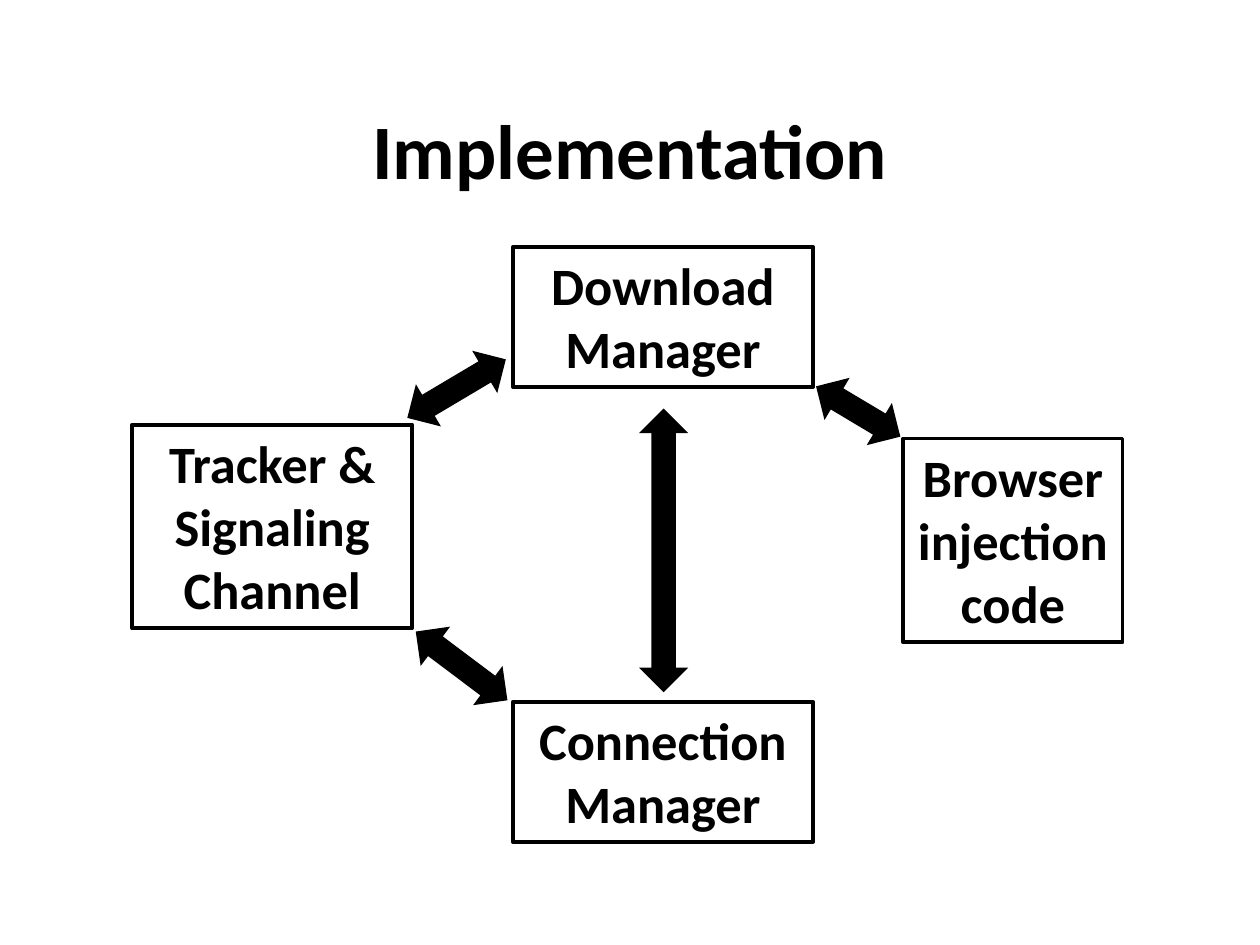
"""Build the Implementation slide: four components linked by double arrows."""
from pptx import Presentation
from pptx.dml.color import RGBColor
from pptx.enum.shapes import MSO_SHAPE as SHAPE
from pptx.enum.text import MSO_ANCHOR as ANCHOR, MSO_AUTO_SIZE as AUTO, PP_ALIGN as ALIGN
from pptx.util import Cm, Pt

BLACK = RGBColor(0, 0, 0)


def format_text(tf, size):
    for p in tf.paragraphs:
        p.alignment = ALIGN.CENTER
        for r in p.runs:
            r.font.name = "Calibri"
            r.font.size = Pt(size)
            r.font.bold = True
            r.font.color.rgb = BLACK


prs = Presentation()
prs.slide_width, prs.slide_height = Cm(25.4), Cm(19.05)
s = prs.slides.add_slide(prs.slide_layouts[5])

title = s.shapes.title
title.left, title.top, title.width, title.height = Cm(1.27), Cm(1.4), Cm(22.86), Cm(3.18)
title.text_frame.text = "Implementation"
title.text_frame.vertical_anchor = ANCHOR.MIDDLE
format_text(title.text_frame, 44)

boxes = [
    ("Download Manager", 10.34, 4.98, 6.05, 2.82),
    ("Connection Manager", 10.34, 14.15, 6.05, 2.82),
    ("Tracker & Signaling Channel", 2.67, 8.56, 5.64, 4.11),
    ("Browser injection\ncode", 18.21, 8.84, 4.42, 4.11),
]
for text, *place in boxes:
    sp = s.shapes.add_textbox(*map(Cm, place))
    sp.line.color.rgb = BLACK
    sp.line.width = Pt(2.25)
    tf = sp.text_frame
    tf.word_wrap = True
    tf.auto_size = AUTO.SHAPE_TO_FIT_TEXT
    tf.text = text
    format_text(tf, 30)

arrows = [
    (8.05, 7.34, 2.31, 329.3),
    (8.15, 12.93, 2.31, 36.9),
    (16.31, 7.8, 1.98, 210.8),
    (10.52, 10.6, 5.72, 270),
]
for left, top, length, angle in arrows:
    sp = s.shapes.add_shape(SHAPE.LEFT_RIGHT_ARROW, Cm(left), Cm(top), Cm(length), Cm(0.99))
    sp.rotation = angle
    sp.shadow.inherit = False
    sp.fill.solid()
    sp.fill.fore_color.rgb = BLACK
    sp.line.fill.background()

prs.save("out.pptx")
